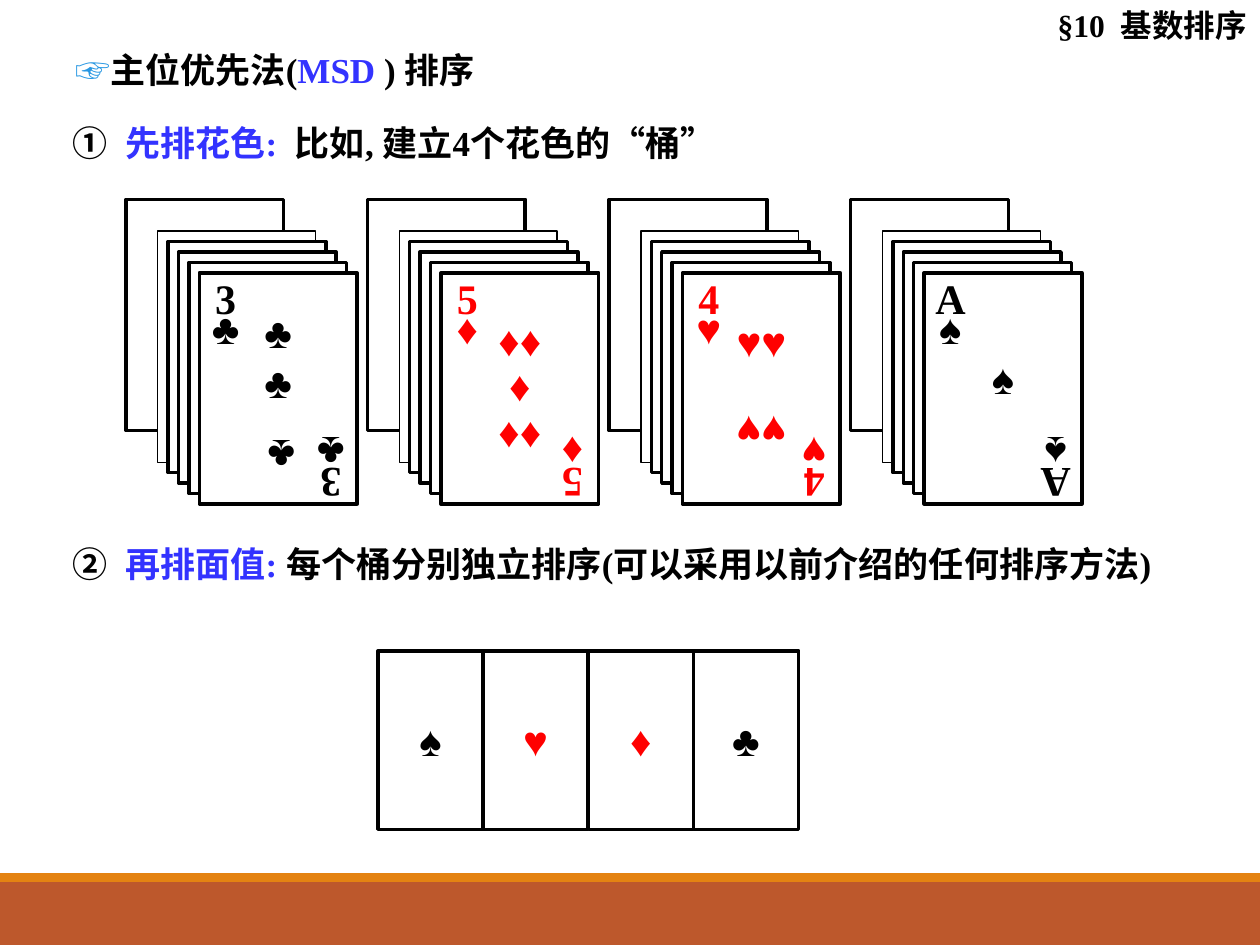
"""Build the MSD radix sort slide with its card buckets."""
from pptx import Presentation, util as u
from pptx.dml import color
from pptx.enum import shapes, text

ROMAN, ARIAL = "Times New Roman", "Arial"
BLACK, BLUE, RED, WHITE = "000000", "3333FF", "FF0000", "FFFFFF"
BANDS = [(17.78, 1.27, "BD582C"), (17.6, 0.18, "E48312")]
GAP = " "

LINES = [
    dict(box=(1.27, 0.84, 11.43, 1.12), inset=0.25, runs=[
        ("☞", ARIAL, "2998E3"), ("主位优先法(", ROMAN, BLACK),
        ("MSD", ROMAN, BLUE), (" ) 排序", ROMAN, BLACK)]),
    dict(box=(1.47, 2.31, 22.23, 1.12), hang=1.06, runs=[
        ("①\t", ARIAL, BLACK), ("先排花色:", ROMAN, BLUE), (GAP, ROMAN, BLUE, 500),
        ("比如, 建立4个花色的“桶”", ROMAN, BLACK)]),
    dict(box=(1.47, 10.8, 22.66, 1.12), hang=1.06, runs=[
        ("②\t", ARIAL, BLACK), ("再排面值: ", ROMAN, BLUE),
        ("每个桶分别独立排序(可以采用以前介绍的任何排序方法)", ROMAN, BLACK)]),
    dict(box=(18.42, 0, 6.96, 1.02), inset=0.25, size=18, align="RIGHT", runs=[
        ("§10", ROMAN, BLACK), (GAP, ROMAN, BLACK, 450), ("基数排序", ROMAN, BLACK)]),
]

# rank, suit, colour, pip boxes: (dx, dy, height, rows, line spacing, rotation)
STACKS = [
    ("3", "♣", BLACK, [(2.22, 1.9, 2.54, ["♣", "♣"], 1, 0),
                       (2.28, 4.46, 1.47, ["♣"], 1, 180)]),
    ("5", "♦", RED, [(2.22, 1.9, 3.81, ["♦♦", "♦", "♦♦"], 0.9, 0)]),
    ("4", "♥", RED, [(2.22, 2.12, 1.47, ["♥♥"], 1, 0),
                     (2.22, 3.98, 1.47, ["♥♥"], 1, 180)]),
    ("A", "♠", BLACK, [(2.22, 2.33, 2.54, ["♠"], 1, 0)]),
]
BUCKETS = [("♠", BLACK), ("♥", RED), ("♦", RED), ("♣", BLACK)]

STACK_LEFT, STACK_TOP, STACK_PITCH = 2.54, 4.02, 4.87
CARD_W, CARD_H = 3.18, 4.66
CARDS = [(0, 2)] + [(0.64 + 0.21 * i, 2 if i else 0.75) for i in range(5)]
CORNERS = [(1.48, 1.8, 0), (3.6, 4.66, 180)]
BUCKET_LEFT, BUCKET_TOP, BUCKET_W, BUCKET_H = 7.62, 13.12, 2.12, 3.6


def rgb(value):
    return color.RGBColor.from_string(value)


def apply(obj, values):
    for name, value in values.items():
        setattr(obj, name, value)


def add_rect(s, box, fill, line=None):
    sp = s.shapes.add_shape(shapes.MSO_SHAPE.RECTANGLE, *map(u.Cm, box))
    sp.shadow.inherit = False
    sp.fill.solid()
    sp.fill.fore_color.rgb = rgb(fill)
    if line:
        sp.line.color.rgb = rgb(BLACK)
        sp.line.width = u.Pt(line)
    else:
        sp.line.fill.background()
    return sp


def set_frame(tf, inset, **values):
    apply(tf, dict(margin_left=u.Cm(inset), margin_right=u.Cm(inset),
                   margin_top=u.Cm(0.13), margin_bottom=u.Cm(0.13), **values))


def add_run(p, words, font, ink, size, spread=None):
    r = p.add_run()
    r.text = words
    apply(r.font, dict(name=font, size=u.Pt(size), bold=True))
    r.font.color.rgb = rgb(ink)
    if spread:
        r.font._element.set("spc", str(spread))


def add_line(s, box, runs, inset=0, size=20, align="LEFT", hang=0):
    tf = s.shapes.add_textbox(*map(u.Cm, box)).text_frame
    set_frame(tf, inset, word_wrap=True)
    p = tf.paragraphs[0]
    p.alignment = text.PP_ALIGN[align]
    if hang:
        apply_hang = {"marL": u.Cm(hang), "indent": -u.Cm(hang)}
        for name, value in apply_hang.items():
            p._p.get_or_add_pPr().set(name, str(value))
    for words, font, ink, *spread in runs:
        add_run(p, words, font, ink, size, *spread)


def set_symbols(sp, rows, ink, spacing=1):
    tf = sp.text_frame
    set_frame(tf, 0, word_wrap=False, vertical_anchor=text.MSO_ANCHOR.MIDDLE)
    for i, row in enumerate(rows):
        p = tf.add_paragraph() if i else tf.paragraphs[0]
        apply(p, dict(alignment=text.PP_ALIGN.CENTER, line_spacing=float(spacing)))
        add_run(p, row, ROMAN if row.isalnum() else ARIAL, ink, 24)


def add_symbols(s, box, rows, ink, spacing, rotation):
    sp = s.shapes.add_textbox(*map(u.Cm, box))
    sp.rotation = rotation
    set_symbols(sp, rows, ink, spacing)


def add_stack(s, left, rank, suit, ink, pips):
    for shift, line in CARDS:
        add_rect(s, (left + shift, STACK_TOP + shift, CARD_W, CARD_H), WHITE, line)
    for dx, dy, rotation in CORNERS:
        add_symbols(s, (left + dx, STACK_TOP + dy, 1.06, 1.27),
                    [rank, suit], ink, 0.6, rotation)
    for dx, dy, height, rows, spacing, rotation in pips:
        add_symbols(s, (left + dx, STACK_TOP + dy, 1.7, height),
                    rows, ink, spacing, rotation)


def main():
    prs = Presentation()
    apply(prs, dict(slide_width=u.Cm(25.4), slide_height=u.Cm(19.05)))
    s = prs.slides.add_slide(prs.slide_layouts[6])
    for top, height, fill in BANDS:
        add_rect(s, (0, top, 25.4, height), fill)
    for line in LINES:
        add_line(s, **line)
    for i, stack in enumerate(STACKS):
        add_stack(s, STACK_LEFT + i * STACK_PITCH, *stack)
    for i, (suit, ink) in enumerate(BUCKETS):
        box = (BUCKET_LEFT + i * BUCKET_W, BUCKET_TOP, BUCKET_W, BUCKET_H)
        set_symbols(add_rect(s, box, WHITE, 2), [suit], ink)
    prs.save("out.pptx")


if __name__ == "__main__":
    main()
